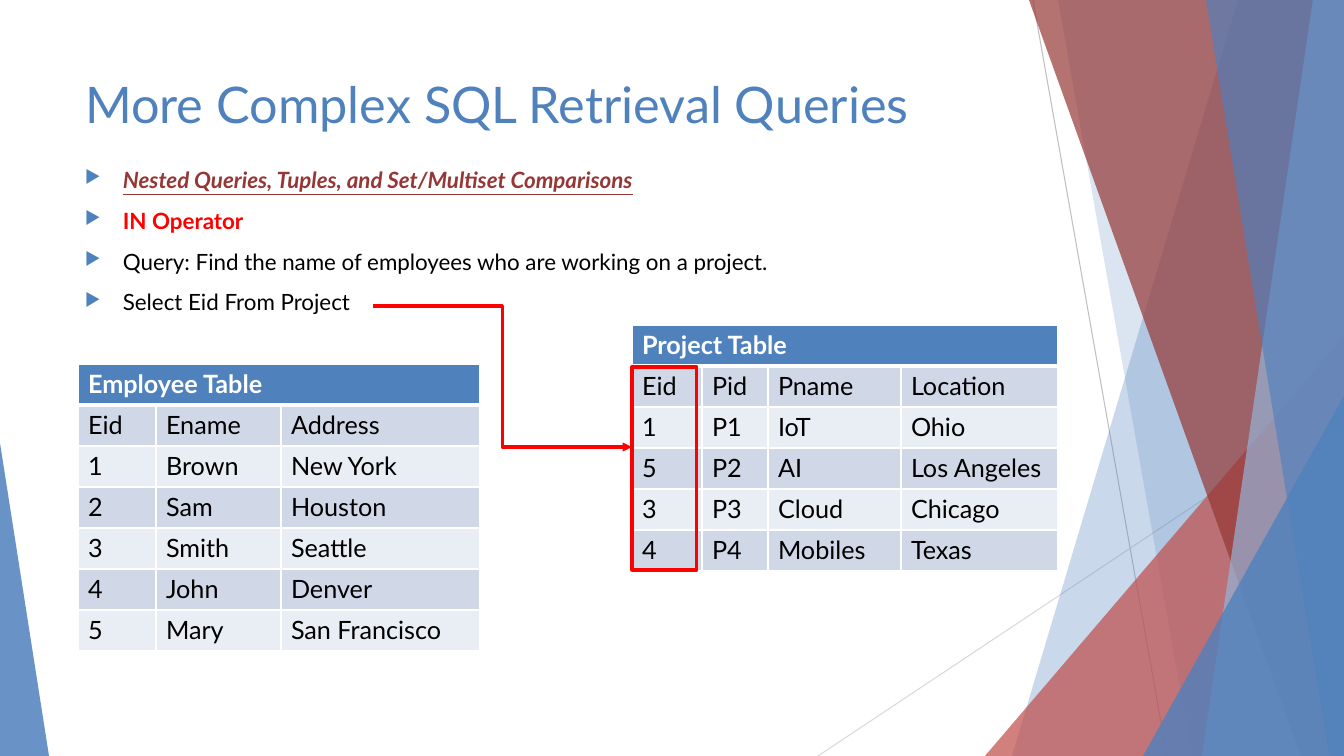
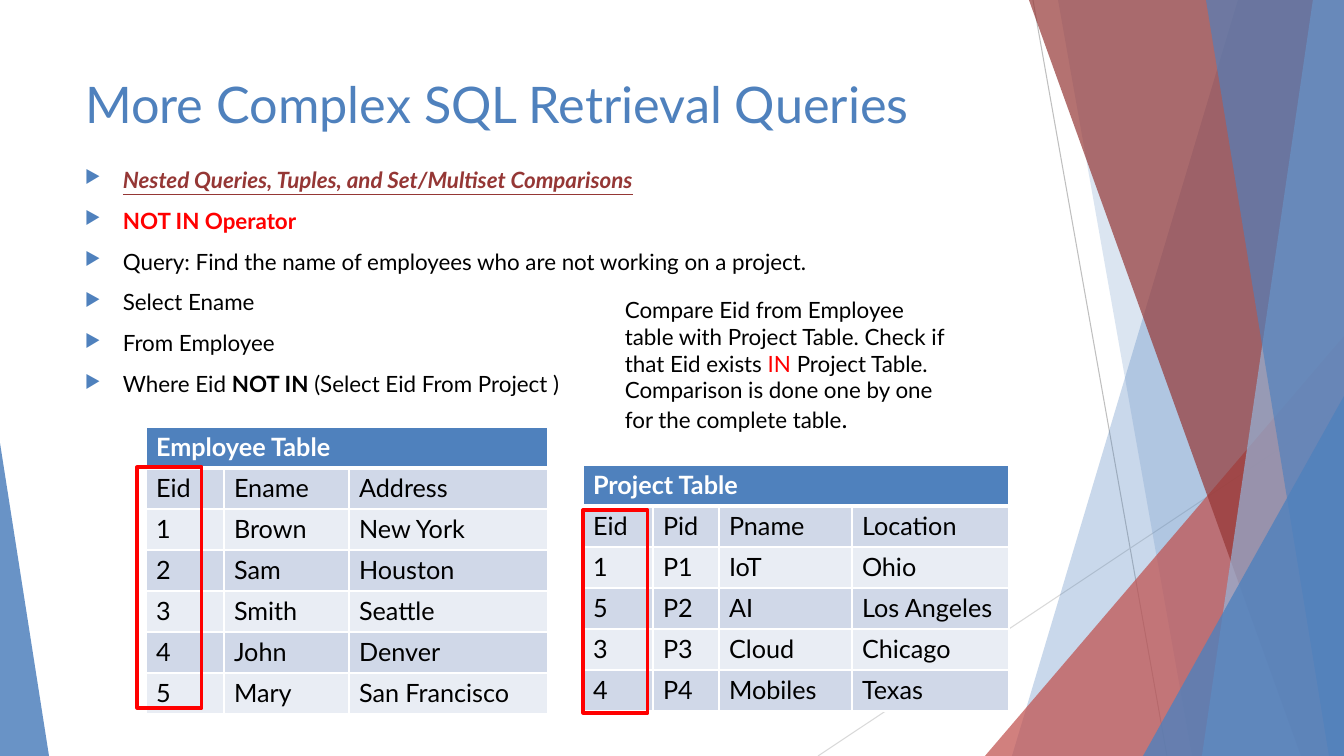
from collections import namedtuple
from dataclasses import dataclass

from pptx import Presentation
from pptx.dml.color import RGBColor
from pptx.enum.shapes import MSO_CONNECTOR as Link, MSO_SHAPE as Preset
from pptx.enum.text import MSO_ANCHOR as Anchor, PP_ALIGN as Align
from pptx.oxml import parse_xml
from pptx.oxml.ns import nsdecls, qn
from pptx.util import Emu, Pt

WIDTH, HEIGHT = 1344, 756
SCALE = 12192000 / WIDTH

Box = namedtuple("Box", "left top width height")
Span = namedtuple("Span", "text color bold italic underline size")


@dataclass(frozen=True)
class Theme:
    """Colours and type sizes used on every slide."""
    font: str = "Lato"
    blue: str = "4F81BD"
    pale_blue: str = "95B3D7"
    brick: str = "C0504D"
    maroon: str = "953735"
    red: str = "FF0000"
    black: str = "000000"
    white: str = "FFFFFF"
    gray: str = "BFBFBF"
    light_gray: str = "D9D9D9"
    odd_row: str = "D0D8E8"
    even_row: str = "E9EDF4"
    title_size: int = 36
    table_size: int = 18
    text_size: int = 16
    bullet_gap: int = 10
    thin: float = 0.75
    thick: float = 2.25


THEME = Theme()


def px(length):
    """Turn pixels into EMU."""
    return Emu(round(length * SCALE))


def place(box):
    """Give a box as four EMU lengths."""
    return [px(length) for length in box]


def span(text, color=THEME.black, bold=False, italic=False, underline=False,
         size=THEME.text_size):
    """Describe a stretch of text in one style."""
    return Span(text, color, bold, italic, underline, size)


def write(para, *spans):
    """Write styled spans into a paragraph."""
    for part in spans:
        run = para.add_run()
        run.text = part.text
        font = run.font
        font.name, font.size = THEME.font, Pt(part.size)
        font.bold, font.italic, font.underline = part.bold, part.italic, part.underline
        font.color.rgb = RGBColor.from_string(part.color)


def append_xml(parent, markup):
    """Append one drawing element to a parent."""
    tag, rest = markup[:markup.index(" ")], markup[markup.index(" "):]
    parent.append(parse_xml(f"<{tag} {nsdecls('a')}{rest}"))


def paint(shape, color, opacity):
    """Fill a shape with a translucent colour and no outline."""
    shape.shadow.inherit = False
    shape.fill.solid()
    shape.fill.fore_color.rgb = RGBColor.from_string(color)
    tint = shape.element.spPr.find(f"{qn('a:solidFill')}/{qn('a:srgbClr')}")
    append_xml(tint, f'a:alpha val="{opacity * 1000}"/>')
    shape.line.fill.background()


def stroke(line, color, width):
    """Set the colour and width of a line."""
    line.color.rgb = RGBColor.from_string(color)
    line.width = Pt(width)


def add_line(page, kind, start, end, color, width):
    """Draw a connector without a shadow."""
    line = page.shapes.add_connector(kind, *place(start + end))
    stroke(line.line, color, width)
    append_xml(line.element.spPr, "a:effectLst />")
    return line


def add_band(page, top_x, bottom_x, color, opacity):
    """Draw a slanted band that reaches the right edge."""
    builder = page.shapes.build_freeform(top_x, 0, scale=SCALE)
    builder.add_line_segments([(WIDTH, 0), (WIDTH, HEIGHT), (bottom_x, HEIGHT)])
    paint(builder.convert_to_shape(), color, opacity)


def add_corner(page, width, height, color, opacity, right=True):
    """Draw a right triangle in a bottom corner."""
    box = Box(WIDTH - width if right else 0, HEIGHT - height, width, height)
    corner = page.shapes.add_shape(Preset.ISOSCELES_TRIANGLE, *place(box))
    corner.adjustments[0] = 1 if right else 0
    paint(corner, color, opacity)


def add_backdrop(page):
    """Draw the facets at both edges of a slide."""
    add_line(page, Link.STRAIGHT, (1033, 0), (1167, HEIGHT), THEME.gray, THEME.thin)
    add_line(page, Link.STRAIGHT, (WIDTH, 406), (818, HEIGHT), THEME.light_gray, THEME.thin)
    add_band(page, 1238, 1012, THEME.blue, 30)
    add_band(page, 1058, 1192, THEME.blue, 20)
    add_corner(page, 359, 420, THEME.brick, 72)
    add_band(page, 1029, 1301, THEME.maroon, 70)
    add_band(page, 1313, 1202, THEME.pale_blue, 70)
    add_band(page, 1206, 1329, THEME.blue, 65)
    add_corner(page, 201, 360, THEME.blue, 80)
    add_corner(page, 49, 313, THEME.blue, 85, right=False)


def add_title(page, box, text):
    """Place and format the title placeholder."""
    title = page.shapes.title
    title.left, title.top, title.width, title.height = place(box)
    frame = title.text_frame
    frame.vertical_anchor = Anchor.TOP
    frame.paragraphs[0].alignment = Align.LEFT
    write(frame.paragraphs[0], span(text, THEME.blue, size=THEME.title_size))


def add_text(page, box, lines):
    """Add a wrapping text box with one paragraph per line."""
    frame = page.shapes.add_textbox(*place(box)).text_frame
    frame.word_wrap = True
    for index, spans in enumerate(lines):
        para = frame.add_paragraph() if index else frame.paragraphs[0]
        write(para, *spans)
    return frame


def add_bullets(page, box, lines):
    """Add a list with triangular bullets."""
    indent = px(38)
    for para in add_text(page, box, lines).paragraphs:
        para.space_before = Pt(THEME.bullet_gap)
        props = para._p.get_or_add_pPr()
        props.set("marL", str(indent))
        props.set("indent", str(-indent))
        append_xml(props, f'a:buClr ><a:srgbClr val="{THEME.blue}"/></a:buClr>')
        append_xml(props, 'a:buSzPct val="80000"/>')
        append_xml(props, 'a:buChar char="▶"/>')


def format_cell(cell, row):
    """Give a cell its white borders and row fill."""
    props = cell._tc.get_or_add_tcPr()
    heavy = {(0, "B"), (1, "T")}
    for side in "LRTB":
        width = Pt(3 if (row, side) in heavy else 1)
        append_xml(props, f'a:ln{side} w="{width}"><a:solidFill><a:srgbClr '
                          f'val="{THEME.white}"/></a:solidFill></a:ln{side}>')
    fill = THEME.blue if row == 0 else (THEME.even_row, THEME.odd_row)[row % 2]
    cell.fill.solid()
    cell.fill.fore_color.rgb = RGBColor.from_string(fill)


def add_data_table(page, left, top, data):
    """Add a table with a merged heading over banded rows."""
    heading, widths, records = data
    row_height = 41
    count = len(records) + 1
    box = Box(left, top, sum(widths), row_height * count)
    table = page.shapes.add_table(count, len(widths), *place(box)).table
    for column, width in zip(table.columns, widths):
        column.width = px(width)
    for row in range(count):
        for column in range(len(widths)):
            format_cell(table.cell(row, column), row)
    table.cell(0, 0).merge(table.cell(0, len(widths) - 1))
    write(table.cell(0, 0).text_frame.paragraphs[0],
          span(heading, THEME.white, bold=True, size=THEME.table_size))
    for row, record in enumerate(records, 1):
        for column, value in enumerate(record):
            write(table.cell(row, column).text_frame.paragraphs[0],
                  span(value, size=THEME.table_size))


def add_highlight(page, box):
    """Frame a table column in red."""
    frame = page.shapes.add_shape(Preset.RECTANGLE, *place(box))
    frame.shadow.inherit = False
    frame.fill.background()
    stroke(frame.line, THEME.red, THEME.thick)


def add_elbow_arrow(page, start, end):
    """Draw a red elbow arrow."""
    arrow = add_line(page, Link.ELBOW, start, end, THEME.red, THEME.thick)
    append_xml(arrow.element.spPr.find(qn("a:ln")), 'a:tailEnd type="triangle"/>')


def add_query_page(deck, operator, query, statement):
    """Add a slide with the shared backdrop, title and bullet list."""
    page = deck.slides.add_slide(deck.slide_layouts[5])
    add_backdrop(page)
    add_title(page, Box(75, 68, 948, 145), "More Complex SQL Retrieval Queries")
    topic = span("Nested Queries, Tuples, and Set/Multiset Comparisons",
                 THEME.maroon, bold=True, italic=True, underline=True)
    lines = [[topic], [span(operator, THEME.red, bold=True)], [span(query)]]
    add_bullets(page, Box(75, 161, 995, 514), lines + statement)
    return page


EMPLOYEES = ("Employee Table", (78, 125, 199), [
    ("Eid", "Ename", "Address"),
    ("1", "Brown", "New York"),
    ("2", "Sam", "Houston"),
    ("3", "Smith", "Seattle"),
    ("4", "John", "Denver"),
    ("5", "Mary", "San Francisco"),
])
PROJECTS = ("Project Table", (70, 66, 133, 157), [
    ("Eid", "Pid", "Pname", "Location"),
    ("1", "P1", "IoT", "Ohio"),
    ("5", "P2", "AI", "Los Angeles"),
    ("3", "P3", "Cloud", "Chicago"),
    ("4", "P4", "Mobiles", "Texas"),
])


def add_in_page(deck):
    """Add the slide on the IN operator."""
    page = add_query_page(
        deck, "IN Operator",
        "Query: Find the name of employees who are working on a project.",
        [[span("Select Eid From Project")]])
    add_data_table(page, 78, 364, EMPLOYEES)
    add_data_table(page, 632, 325, PROJECTS)
    add_highlight(page, Box(632, 367, 65, 203))
    add_elbow_arrow(page, (373, 306), (632, 447))


def add_not_in_page(deck):
    """Add the slide on the NOT IN operator."""
    page = add_query_page(
        deck, "NOT IN Operator",
        "Query: Find the name of employees who are not working on a project.",
        [[span("Select Ename")],
         [span("From Employee")],
         [span("Where Eid "), span("NOT IN", bold=True),
          span(" (Select Eid From Project )")]])
    add_data_table(page, 146, 427, EMPLOYEES)
    add_data_table(page, 583, 465, PROJECTS)
    add_highlight(page, Box(583, 510, 65, 203))
    add_highlight(page, Box(137, 467, 65, 241))
    add_text(page, Box(615, 291, 351, 179), [
        [span("Compare Eid from Employee table with Project Table. "
              "Check if that Eid exists "),
         span("IN", THEME.red), span(" Project Table.")],
        [span("Comparison is done one by one for the complete table"),
         span(".", size=THEME.table_size)]])


def main():
    """Build and save the deck."""
    deck = Presentation()
    deck.slide_width, deck.slide_height = px(WIDTH), px(HEIGHT)
    add_in_page(deck)
    add_not_in_page(deck)
    deck.save("out.pptx")


main()
